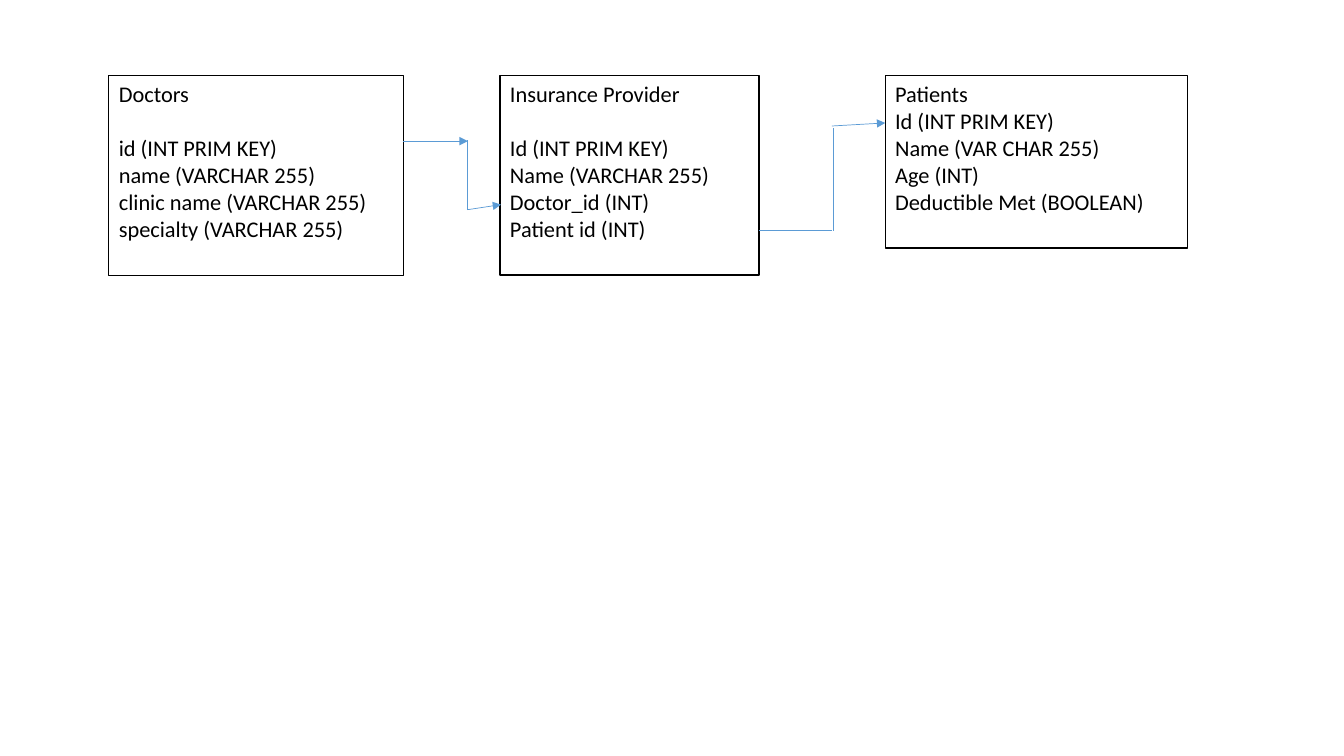
from lxml.etree import SubElement
from pptx import Presentation
from pptx.dml.color import RGBColor
from pptx.enum.shapes import MSO_CONNECTOR, MSO_SHAPE
from pptx.enum.text import MSO_ANCHOR, PP_ALIGN
from pptx.oxml.ns import qn
from pptx.util import Inches, Pt

BLACK = "000000"
LINK_BLUE = "5B9BD5"
TOP = 0.75
TITLE_GAP = 19.2

ENTITIES = [
    ((1.08, TOP, 2.92, 1.98), 0.75, TITLE_GAP, "Doctors",
     ["id (INT PRIM KEY)", "name (VARCHAR 255)",
      "clinic name (VARCHAR 255)", "specialty (VARCHAR 255)"]),
    ((4.96, TOP, 2.57, 1.98), 1, TITLE_GAP, "Insurance Provider",
     ["Id (INT PRIM KEY)", "Name (VARCHAR 255)",
      "Doctor_id (INT)", "Patient id (INT)"]),
    ((8.78, TOP, 3, 1.71), 1, 0, "Patients",
     ["Id (INT PRIM KEY)", "Name (VAR CHAR 255)",
      "Age (INT)", "Deductible Met (BOOLEAN)"]),
]

DOCTOR_LINK = [
    ((0, 0.65), (0.64, 0.65), True),
    ((0.64, 0.64), (0.64, 1.33), False),
    ((0.64, 1.33), (0.97, 1.28), True),
]
PATIENT_LINK = [
    ((0, 1.54), (0.72, 1.54), False),
    ((0.74, 1.54), (0.74, 0.52), False),
    ((0.72, 0.5), (1.25, 0.47), True),
]


def color(value):
    return RGBColor.from_string(value)


def add_entity(page, box, line_width, title_gap, title, fields):
    entity = page.shapes.add_shape(MSO_SHAPE.RECTANGLE, *map(Inches, box))
    entity.shadow.inherit = False
    entity.fill.background()
    entity.line.color.rgb = color(BLACK)
    entity.line.width = Pt(line_width)
    frame = entity.text_frame
    frame.word_wrap = True
    frame.vertical_anchor = MSO_ANCHOR.TOP
    for index, text in enumerate([title] + fields):
        para = frame.add_paragraph() if index else frame.paragraphs[0]
        para.alignment = PP_ALIGN.LEFT
        para.space_after = Pt(0 if index else title_gap)
        span = para.add_run()
        span.text = text
        span.font.name = "Calibri"
        span.font.size = Pt(16)
        span.font.color.rgb = color(BLACK)


def add_link(page, box, segments):
    left, top, width, height = box
    right = left + width
    for start, end, has_arrow in segments:
        segment = page.shapes.add_connector(
            MSO_CONNECTOR.STRAIGHT,
            Inches(right + start[0]), Inches(top + start[1]),
            Inches(right + end[0]), Inches(top + end[1]))
        segment.line.color.rgb = color(LINK_BLUE)
        segment.line.width = Pt(0.5)
        if has_arrow:
            outline = segment.line._get_or_add_ln()
            SubElement(outline, qn("a:tailEnd"), type="triangle")
        SubElement(segment._element.spPr, qn("a:effectLst"))


def add_schema(deck):
    page = deck.slides.add_slide(deck.slide_layouts[6])
    for entity in ENTITIES:
        add_entity(page, *entity)
    for entity, segments in zip(ENTITIES, [DOCTOR_LINK, PATIENT_LINK]):
        add_link(page, entity[0], segments)


deck = Presentation()
deck.slide_width = Inches(13.33)
deck.slide_height = Inches(7.5)
add_schema(deck)
deck.save("out.pptx")
